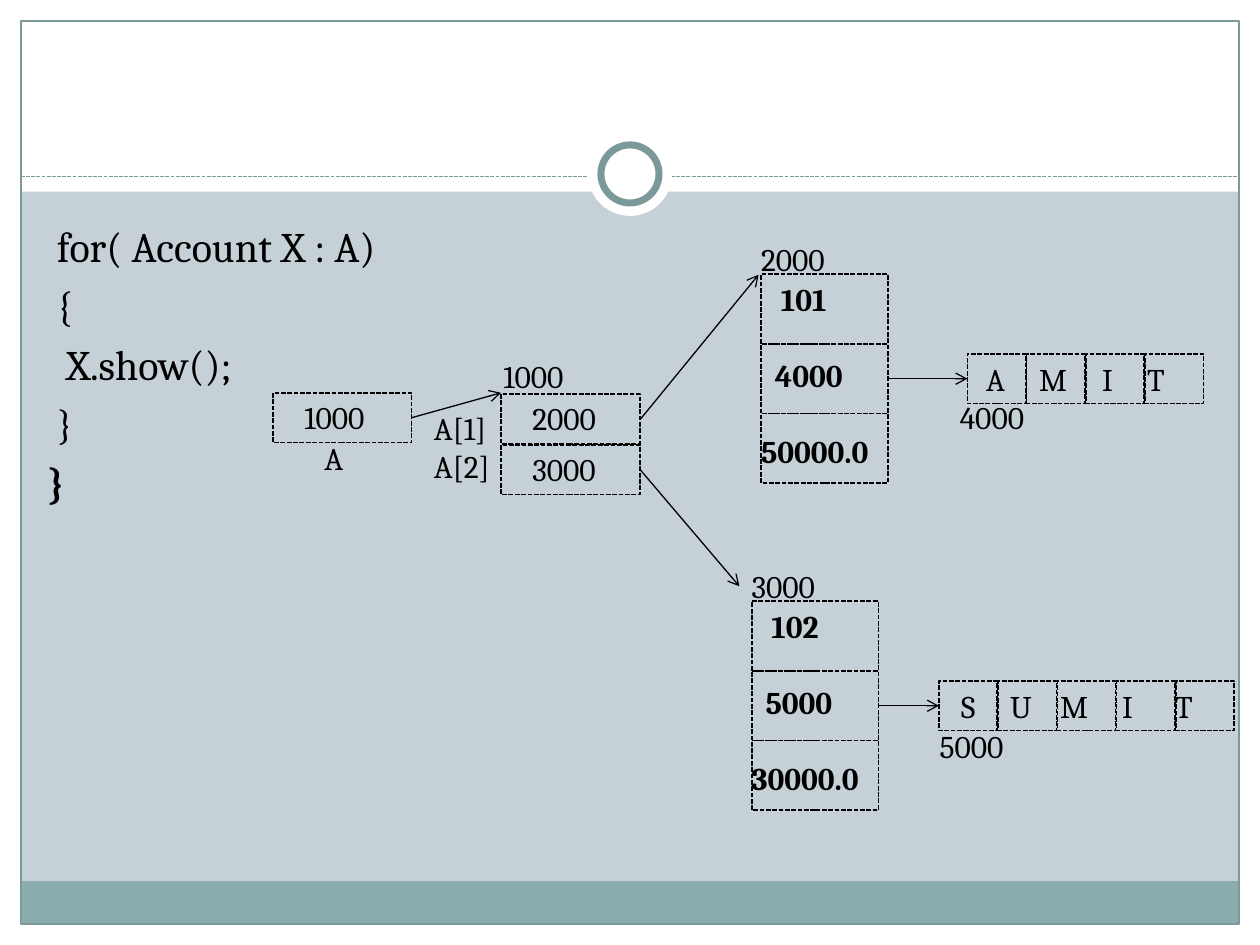
from lxml.etree import SubElement
from pptx import Presentation
from pptx.dml.color import RGBColor
from pptx.enum.dml import MSO_LINE
from pptx.enum.shapes import MSO_CONNECTOR, MSO_SHAPE
from pptx.enum.text import MSO_ANCHOR, MSO_AUTO_SIZE, PP_ALIGN
from pptx.oxml.ns import qn
from pptx.util import Pt

COLORS = {"background": "C5D1D7", "paper": "FFFFFF", "band": "8CADAE",
          "frame": "7C999A", "ink": "000000"}
WIDTH, HEIGHT = 720, 540
CELL_W, CELL_H, CELL_STEP = 33.4, 28.4, 33.85


def rgb(name):
    return RGBColor.from_string(COLORS[name])


def write(tf, lines, size=18, bold=False, bold_last=False, gap=0,
          indents=None, hanging=0):
    """Fill a text frame; indents holds one left indent for each line."""
    tf.word_wrap = True
    tf.vertical_anchor = MSO_ANCHOR.TOP
    for i, line in enumerate(lines):
        p = tf.paragraphs[0] if i == 0 else tf.add_paragraph()
        pPr = p._p.get_or_add_pPr()
        pPr.set("marL", str(Pt(indents[i] if indents else hanging)))
        pPr.set("indent", str(-Pt(hanging)))
        p.alignment = PP_ALIGN.LEFT
        p.space_before = Pt(gap if i else 0)
        SubElement(pPr, qn("a:buNone"))
        r = p.add_run()
        r.text = line
        r.font.name = "Cambria"
        r.font.size = Pt(size)
        r.font.bold = bold or (bold_last and i == len(lines) - 1)
        r.font.color.rgb = rgb("ink")


def add_text(s, x, y, w, h, lines, **fmt):
    tf = s.shapes.add_textbox(Pt(x), Pt(y), Pt(w), Pt(h)).text_frame
    write(tf, lines, **fmt)
    tf.auto_size = MSO_AUTO_SIZE.SHAPE_TO_FIT_TEXT


def add_label(s, x, y, text, w=62.6):
    add_text(s, x, y, w, 29, [text])


def add_box(s, x, y, w, h, fill=None, line=None, weight=0.75, dash=None,
            kind=MSO_SHAPE.RECTANGLE):
    sp = s.shapes.add_shape(kind, Pt(x), Pt(y), Pt(w), Pt(h))
    sp.shadow.inherit = False
    if fill:
        sp.fill.solid()
        sp.fill.fore_color.rgb = rgb(fill)
    else:
        sp.fill.background()
    if line:
        sp.line.color.rgb = rgb(line)
        sp.line.width = Pt(weight)
        sp.line.dash_style = dash
    else:
        sp.line.fill.background()


def add_cell(s, x, y, w, h):
    add_box(s, x, y, w, h, line="ink", weight=0.9, dash=MSO_LINE.SQUARE_DOT)


def add_line(s, x1, y1, x2, y2, color="ink", dash=None, arrow=True):
    c = s.shapes.add_connector(MSO_CONNECTOR.STRAIGHT,
                               Pt(x1), Pt(y1), Pt(x2), Pt(y2))
    c.line.color.rgb = rgb(color)
    c.line.width = Pt(0.75)
    c.line.dash_style = dash
    if arrow:
        SubElement(c.line._get_or_add_ln(), qn("a:tailEnd"), type="arrow")
    SubElement(c._element.spPr, qn("a:effectLst"))


def draw_frame(s, x, y, w, h):
    """White margins, bottom band, border and the ring on the dashed rule."""
    right, bottom, rule = x + w, y + h, 100.8
    for edge in ((0, bottom, WIDTH, HEIGHT - bottom), (0, 0, WIDTH, 109.5),
                 (0, 0, x, HEIGHT), (right, 0, WIDTH - right, HEIGHT)):
        add_box(s, *edge, fill="paper")
    add_box(s, x, bottom - 24.5, w, 24.5, fill="band")
    add_box(s, x, y, w, h, line="frame")
    add_line(s, x, rule, right, rule, "frame", MSO_LINE.SQUARE_DOT, False)
    for d, line in ((48, None), (33.2, "frame")):
        add_box(s, (WIDTH - d) / 2, 99.4 - d / 2, d, d, fill="paper",
                line=line, weight=4, kind=MSO_SHAPE.OVAL)


def draw_code(s, x, y, w, h):
    body = s.placeholders[1]
    body.left, body.top, body.width, body.height = Pt(x), Pt(y), Pt(w), Pt(h)
    write(body.text_frame,
          [" for( Account X : A)", " {", "  X.show();", " }", "}"],
          size=24, gap=4.9, hanging=21.6, bold_last=True)
    body.text_frame.auto_size = MSO_AUTO_SIZE.NONE


def draw_array(s, x, y, w):
    """Variable A at x, y pointing to its array of two references."""
    add_cell(s, x, y, w, CELL_H)
    add_label(s, x + 10.8, y - 0.7, "1000", 57)
    add_label(s, x + 22.3, y + 23, "A", 28)
    array_x = x + 130.3
    add_line(s, x + w, y + CELL_H / 2, array_x, y)
    for i, ref in enumerate(("2000", "3000")):
        top = y + 0.7 + i * 29
        add_cell(s, array_x, top, w, CELL_H)
        add_label(s, array_x + 10.8, top - 0.7, ref)
    add_label(s, array_x - 5.8, y - 23.8, "1000", 57)
    add_text(s, array_x - 45.4, y + 5.8, 57, 51, ["A[1]", "A[2]"])


def draw_record(s, x, y, address, fields):
    """Three stacked fields; returns the right end and middle of the record."""
    w, h = 72.4, 39.8
    for i in range(3):
        add_cell(s, x, y + i * h, w, h)
    add_text(s, x - 7.2, y, 96.5, 116.6, fields, bold=True, gap=21.6,
             indents=(11.4, 8, 0))
    add_label(s, x - 7.2, y - 23, address)
    return x + w, y + 1.5 * h


def draw_name(s, x, middle, letters, offsets, address, address_at):
    """A row of letters in cells centred on middle, with its address below."""
    top = middle - CELL_H / 2
    for i, (letter, offset) in enumerate(zip(letters, offsets)):
        add_cell(s, x + i * CELL_STEP, top, CELL_W, CELL_H)
        add_label(s, x + offset, top, letter, CELL_W)
    add_label(s, *address_at, address)


def main():
    prs = Presentation()
    prs.slide_width, prs.slide_height = Pt(WIDTH), Pt(HEIGHT)
    s = prs.slides.add_slide(prs.slide_layouts[1])
    title = s.shapes.title._element
    title.getparent().remove(title)
    s.background.fill.solid()
    s.background.fill.fore_color.rgb = rgb("background")

    draw_frame(s, 12, 12, 696, 516)
    draw_code(s, 20, 122.4, 681, 380)
    draw_array(s, 156, 224.5, 79.3)
    add_line(s, 366, 239.5, 433.5, 157)
    add_line(s, 366, 268.6, 422.5, 335)

    objects = (
        (435, 156.7, "2000", ("101", "4000", "50000.0"),
         552.8, "AMIT", (3.6, 33.9, 69.9, 95.6), (541.4, 223.9)),
        (429.6, 343.6, "3000", ("102", "5000", "30000.0"),
         536.5, "SUMIT", (5.6, 33.6, 62.2, 97.6, 127.9), (529.9, 411.8)),
    )
    for x, y, address, fields, name_x, letters, offsets, at in objects:
        end, middle = draw_record(s, x, y, address, fields)
        add_line(s, end, middle, name_x, middle)
        draw_name(s, name_x, middle, letters, offsets, fields[1], at)
    prs.save("out.pptx")


if __name__ == "__main__":
    main()
